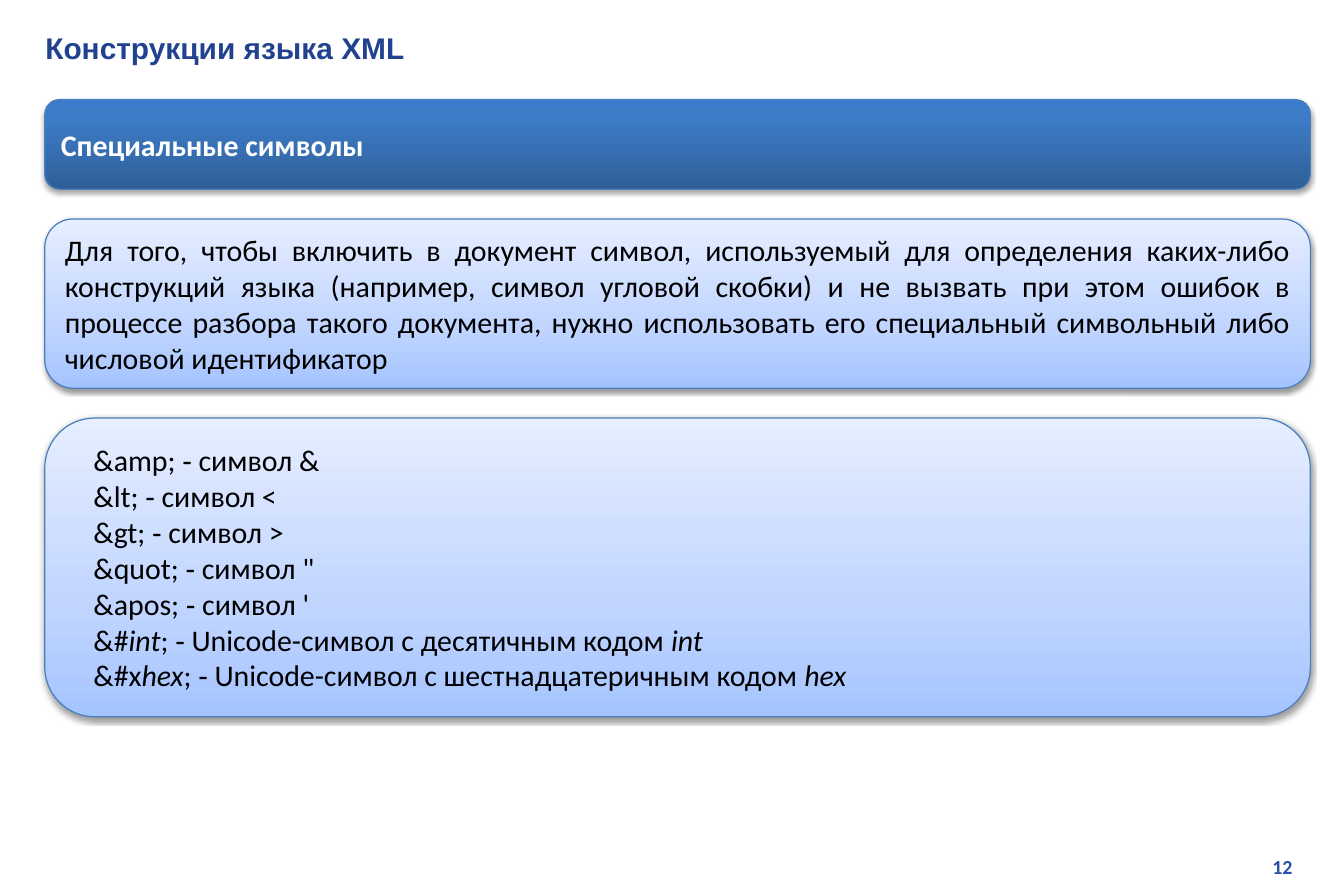
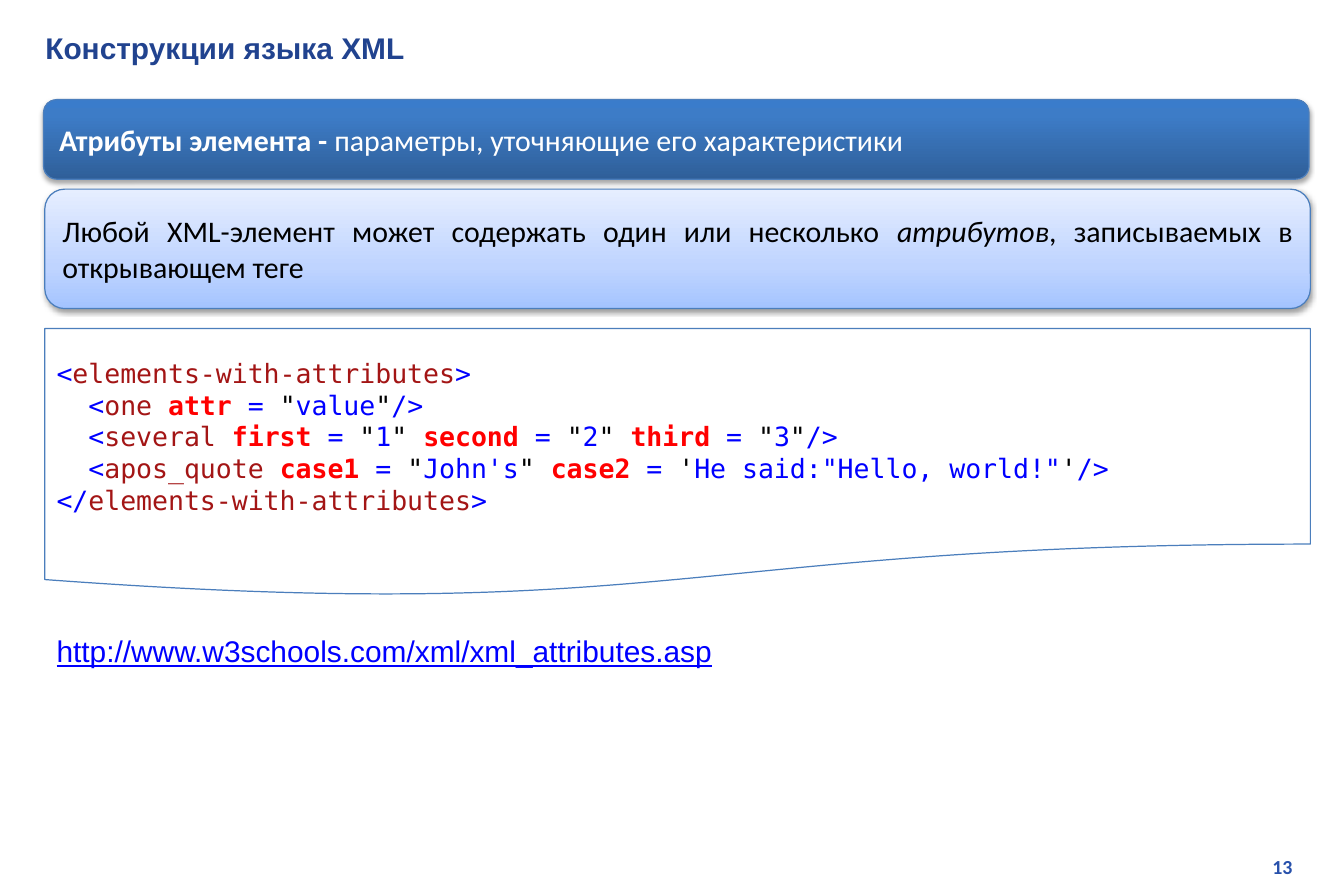
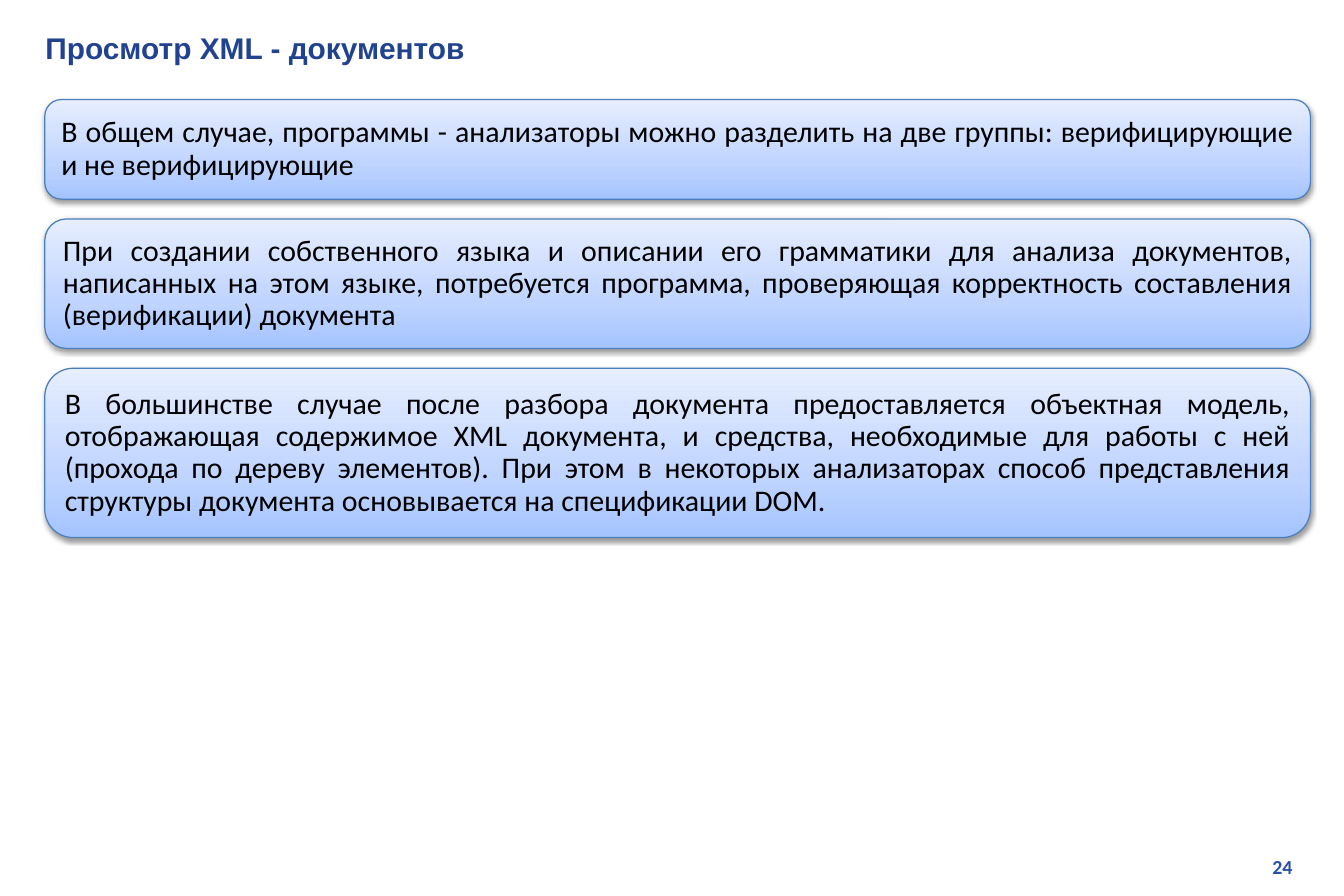
from copy import deepcopy

from lxml.etree import SubElement
from pptx import Presentation
from pptx.dml.color import RGBColor
from pptx.enum.shapes import MSO_SHAPE
from pptx.enum.text import MSO_ANCHOR, PP_ALIGN
from pptx.oxml.ns import qn
from pptx.util import Pt

PX = 9525
LEFT, WIDE, GAP = 36, 1017, 16
HEX = {
    "title": "21438F", "number": "2750AB", "edge": "4B7EBC",
    "white": "FFFFFF", "black": "000000",
    "blue": "0000FF", "brown": "A31515", "red": "FF0000",
}
LOOKS = {
    "title": {"name": "Arial", "size": Pt(18), "bold": True, "color": "title"},
    "number": {"name": "Calibri", "size": Pt(12), "bold": True, "color": "number"},
    "band": {"name": "Calibri", "size": Pt(18), "color": "white"},
    "body": {"name": "Calibri", "size": Pt(18), "color": "black"},
    "code": {"name": "DejaVu Sans Mono", "size": Pt(16), "color": "blue"},
    "link": {"name": "Arial", "size": Pt(18), "underline": True, "color": "blue"},
}
FILLS = {
    "band": [(0, "2F5F99"), (0.8, "3D7CC7"), (1, "3A7CCB")],
    "body": [(0, "A4C4FF"), (0.35, "BFD4FF"), (1, "E6EEFF")],
}
SHADES = {"band": ("35000", 1.8), "body": ("38000", 1.6)}
BOLD, ITALIC = {"bold": True}, {"italic": True}
BROWN, BLACK = {"color": "brown"}, {"color": "black"}
RED = {"color": "red", "bold": True}


class Deck:
    """Hold the shared style and the slide being built."""

    def __init__(self):
        """Open an empty deck of the right size."""
        self.file = Presentation()
        self.file.slide_width, self.file.slide_height = 1080 * PX, 720 * PX

    def page(self, title, number):
        """Start a slide with its title and number."""
        self.slide = self.file.slides.add_slide(self.file.slide_layouts[6])
        self.label((820, 682, 228, 29), number, "number", alignment=PP_ALIGN.RIGHT)
        self.label((27, 19, 1031, 38), title, "title")

    def put(self, shape, paras, look, indent=0, **form):
        """Fill a shape with paragraphs made of (text, changes) runs."""
        frame = shape.text_frame
        frame.word_wrap = True
        frame.vertical_anchor = MSO_ANCHOR.MIDDLE
        for i, runs in enumerate(paras):
            para = frame.paragraphs[0] if i == 0 else frame.add_paragraph()
            if indent:
                para._p.get_or_add_pPr().set("marL", str(indent * PX))
            for key, value in ({"alignment": PP_ALIGN.LEFT} | form).items():
                setattr(para, key, value)
            for text, change in runs:
                run = para.add_run()
                run.text = text
                for key, value in (LOOKS[look] | change).items():
                    if key == "color":
                        run.font.color.rgb = RGBColor.from_string(HEX[value])
                    else:
                        setattr(run.font, key, value)

    def label(self, box, text, look, **form):
        """Add a plain line of text."""
        shape = self.slide.shapes.add_textbox(*(n * PX for n in box))
        self.put(shape, [[(text, {})]], look, **form)

    def shape(self, kind, top, high, left=LEFT):
        """Add an outlined shape as wide as the page content."""
        box = (left, top, WIDE, high)
        shape = self.slide.shapes.add_shape(kind, *(n * PX for n in box))
        shape.shadow.inherit = False
        shape.line.color.rgb = RGBColor.from_string(HEX["edge"])
        shape.line.width = Pt(0.75)
        return shape

    def panel(self, top, high, paras, look="body", left=LEFT, **form):
        """Add a rounded panel with a gradient and a shadow."""
        shape = self.shape(MSO_SHAPE.ROUNDED_RECTANGLE, top, high, left)
        shape.fill.gradient()
        shape.fill.gradient_angle = 90
        props = shape.element.spPr
        stops = props.find(".//" + qn("a:gsLst"))
        stops.append(deepcopy(stops[0]))
        for stop, (place, tint) in zip(shape.fill.gradient_stops, FILLS[look]):
            stop.position = place
            stop.color.rgb = RGBColor.from_string(tint)
        alpha, dist = SHADES[look]
        shade = SubElement(
            props.find(qn("a:effectLst")), qn("a:outerShdw"),
            blurRad=str(Pt(3.1)), dist=str(Pt(dist)), dir="5400000", rotWithShape="0")
        tint = SubElement(shade, qn("a:srgbClr"), val=HEX["black"])
        SubElement(tint, qn("a:alpha"), val=alpha)
        self.put(shape, paras, look, **form)

    def code(self, top, high, paras):
        """Add a code listing on a wavy sheet."""
        shape = self.shape(MSO_SHAPE.FLOWCHART_DOCUMENT, top, high)
        shape.fill.solid()
        shape.fill.fore_color.rgb = RGBColor.from_string(HEX["white"])
        self.put(shape, paras, "code")


def tag(name, *pairs):
    """Return the coloured runs of an empty element with attributes."""
    runs = [("  <", {}), (name + " ", BROWN)]
    for i, (key, value, quote) in enumerate(pairs, 1):
        end = quote + " " if i < len(pairs) else quote
        runs += [(key, RED), (" = ", {}), (quote, BLACK), (value, {}), (end, BLACK)]
    return runs + [("/>", {})]


def main():
    """Build the three slides."""
    deck = Deck()
    full = {"alignment": PP_ALIGN.JUSTIFY}

    deck.page("Конструкции языка XML", "12")
    deck.panel(80, 72, [[("Специальные символы", BOLD)]], "band", **full)
    deck.panel(176, 136, [[(
        "Для того, чтобы включить в документ символ, используемый для определения "
        "каких-либо конструкций языка (например, символ угловой скобки) и не вызвать "
        "при этом ошибок в процессе разбора такого документа, нужно использовать его "
        "специальный символьный либо числовой идентификатор", {})]], **full)
    signs = [("amp", "&"), ("lt", "<"), ("gt", ">"), ("quot", '"'), ("apos", "'")]
    codes = [("&#", "int", "десятичным"), ("&#x", "hex", "шестнадцатеричным")]
    lines = [[(f"&{name}; ‑ символ {sign}", {})] for name, sign in signs]
    lines += [[(start, {}), (name, ITALIC),
               (f"; ‑ Unicode-символ с {base} кодом ", {}), (name, ITALIC)]
              for start, name, base in codes]
    deck.panel(336, 240, lines, indent=18)

    deck.page("Конструкции языка XML", "13")
    deck.panel(80, 64, [[("Атрибуты элемента - ", BOLD),
                         ("параметры, уточняющие его характеристики", {})]],
               "band", left=35)
    deck.panel(152, 96, [[
        ("Любой XML-элемент может содержать один или несколько ", {}),
        ("атрибутов", ITALIC), (", записываемых в открывающем теге", {})]], **full)
    root = ("elements-with-attributes", BROWN)
    deck.code(264, 216, [
        [("<", {}), root, (">", {})],
        tag("one", ("attr", "value", '"')),
        tag("several", ("first", "1", '"'), ("second", "2", '"'), ("third", "3", '"')),
        tag("apos_quote", ("case1", "John's", '"'),
            ("case2", 'He said:"Hello, world!"', "'")),
        [("</", {}), root, (">", {})],
    ])
    deck.label((LEFT, 504, 720, 38),
               "http://www.w3schools.com/xml/xml_attributes.asp", "link")

    deck.page("Просмотр XML - документов", "24")
    top = 80
    for high, text in (
        (80, "В общем случае, программы - анализаторы можно разделить на две группы: "
             "верифицирующие и не верифицирующие"),
        (104, "При создании собственного языка и описании его грамматики для анализа "
              "документов, написанных на этом языке, потребуется программа, проверяющая "
              "корректность составления (верификации) документа"),
        (136, "В большинстве случае после разбора документа предоставляется объектная "
              "модель, отображающая содержимое XML документа, и средства, необходимые "
              "для работы с ней (прохода по дереву элементов). При этом в некоторых "
              "анализаторах способ представления структуры документа основывается на "
              "спецификации DOM."),
    ):
        deck.panel(top, high, [[(text, {})]], line_spacing=0.9, **full)
        top += high + GAP

    deck.file.save("out.pptx")


if __name__ == "__main__":
    main()
